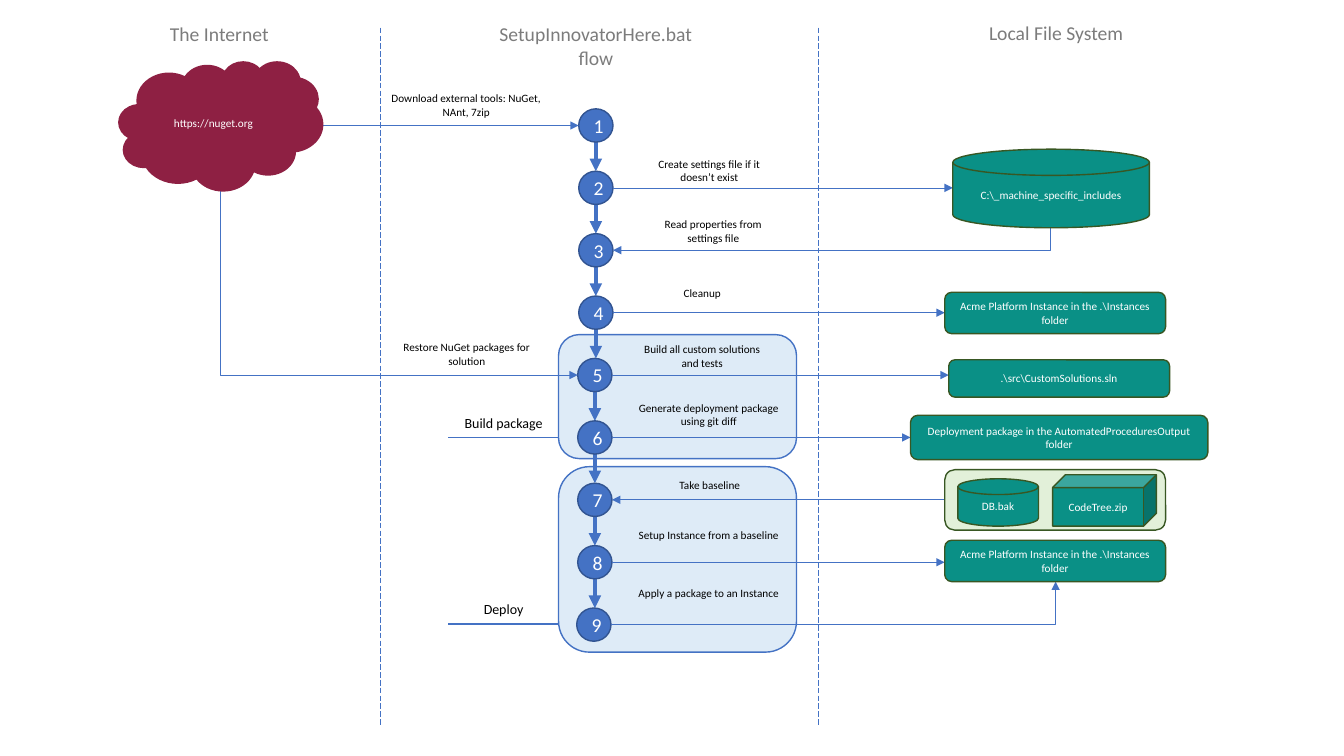
from lxml import etree
from pptx import Presentation, util as u
from pptx.dml.color import RGBColor
from pptx.enum import dml, shapes, text
from pptx.oxml.ns import qn

COLS, ROWS = 1333, 750
CELL = u.Inches(0.01)
BLUE, TEAL, MOSS, WINE = "4472C4", "0A9086", "385723", "8E2043"
WHITE, BLACK, GREY = "FFFFFF", "000000", "7C7C7C"
SHAPE, LINK = shapes.MSO_SHAPE, shapes.MSO_CONNECTOR

deck = Presentation()
deck.slide_width, deck.slide_height = COLS * CELL, ROWS * CELL
slide = deck.slides.add_slide(deck.slide_layouts[6])
page = slide.shapes


def box(area, words="", kind=None, fill=None, edge=None, size=8, ink=WHITE, home=page):
    """Place a preset shape, or a text box if no kind is given; area is in grid cells."""
    spot = [round(n * CELL) for n in area]
    if kind is None:
        item = home.add_textbox(*spot)
        item.text_frame.auto_size = text.MSO_AUTO_SIZE.SHAPE_TO_FIT_TEXT
    else:
        item = home.add_shape(kind, *spot)
        item.shadow.inherit = False
        item.fill.solid()
        item.fill.fore_color.rgb = RGBColor.from_string(fill)
        item.line.color.rgb = RGBColor.from_string(edge)
        item.line.width = u.Pt(1)
    item.text_frame.word_wrap = True
    if words:
        para = item.text_frame.paragraphs[0]
        para.alignment = text.PP_ALIGN.CENTER
        run = para.add_run()
        run.text = words
        for key, value in {"name": "Calibri", "size": u.Pt(size)}.items():
            setattr(run.font, key, value)
        run.font.color.rgb = RGBColor.from_string(ink)


def link(ends, width=0.5, tip=None, bent=False, dash=None):
    """Join two points in grid cells; a bent link leaves its first point sideways."""
    kind = LINK.ELBOW if bent else LINK.STRAIGHT
    item = page.add_connector(kind, *[round(n * CELL) for n in ends])
    item.line.color.rgb = RGBColor.from_string(BLUE)
    item.line.width = u.Pt(width)
    if dash:
        item.line.dash_style = dash
    props = item._element.spPr
    if bent:
        props.find(qn("a:prstGeom")).set("prst", "bentConnector2")
    if tip:
        etree.SubElement(item.line._get_or_add_ln(), qn("a:" + tip)).set("type", "triangle")
    etree.SubElement(props, qn("a:effectLst"))


# Stage bands and column dividers
for top, high in ((463, 184), (332, 123)):
    box((554, top, 236, high), kind=SHAPE.ROUNDED_RECTANGLE, fill="DEEBF7", edge=BLUE)
for x in (377, 812):
    link((x, 27.5, x, 719), dash=dml.MSO_LINE.LONG_DASH)

# Column titles
for area, words in (
    ((155, 17, 125, 34), "The Internet"),
    ((470, 17, 242, 57), "SetupInnovatorHere.bat flow"),
    ((964, 16, 167, 34), "Local File System"),
):
    box(area, words, size=14, ink=GREY)

# Numbered steps, evenly spaced down the middle column
PITCH, DISC, TALL = 61.9, 34, 33
lefts = [574 - i // 4 for i in range(9)]
tops = [108 + PITCH * i for i in range(9)]
mids = [top + TALL / 2 for top in tops]
for i, (left, top) in enumerate(zip(lefts, tops)):
    if i < 8:
        x = left + DISC / 2
        link((x, top + TALL, x, tops[i + 1]), width=3, tip="tailEnd")
    box((left, top, DISC, TALL), str(i + 1), SHAPE.FLOWCHART_CONNECTOR,
        BLUE, "325491", size=14)

# Arrows between the steps and the outer columns
link((319, mids[0], lefts[0], mids[0]), tip="tailEnd")
for step, x in ((2, 945), (4, 937), (5, 941), (6, 903), (8, 937)):
    y = mids[step - 1]
    link((lefts[step - 1] + DISC, y, x, y), tip="tailEnd")
link((937, mids[6], lefts[6] + DISC, mids[6]), tip="tailEnd")
link((lefts[2] + DISC, mids[2], 1042, 226), tip="headEnd", bent=True)
link((lefts[4], mids[4], 219, 189), tip="headEnd", bent=True)
link((lefts[8] + DISC, mids[8], 1047, 577), tip="tailEnd", bent=True)

# Sources and files
box((118, 61, 202, 128), "https://nuget.org", SHAPE.CLOUD, WINE, WINE)
box((945, 148, 195, 78), r"C:\_machine_specific_includes",
    SHAPE.FLOWCHART_MAGNETIC_DISK, TEAL, MOSS)
instance = r"Acme Platform Instance in the .\Instances folder"
for area, words in (
    ((937, 290, 219, 41), instance),
    ((941, 357, 219, 37), r".\src\CustomSolutions.sln"),
    ((903, 412, 295, 44), "Deployment package in the AutomatedProceduresOutput folder"),
    ((937, 536, 219, 41), instance),
):
    box(area, words, SHAPE.ROUNDED_RECTANGLE, TEAL, MOSS)

# Baseline group
base = page.add_group_shape().shapes
for area, words, kind, fill in (
    ((937, 466, 219, 60), "", SHAPE.ROUNDED_RECTANGLE, "E2F0D9"),
    ((950, 475, 80, 47), "DB.bak", SHAPE.FLOWCHART_MAGNETIC_DISK, TEAL),
    ((1044, 471, 103, 51), "CodeTree.zip", SHAPE.CUBE, TEAL),
):
    box(area, words, kind, fill, MOSS, home=base)

# Arrow labels
for area, words in (
    ((371, 86, 183, 37), "Download external tools: NuGet, NAnt, 7zip"),
    ((638, 151, 131, 37), "Create settings file if it doesn’t exist"),
    ((641, 211, 133, 37), "Read properties from settings file"),
    ((654, 279, 85, 24), "Cleanup"),
    ((385, 333, 156, 37), "Restore NuGet packages for solution"),
    ((622, 335, 149, 37), "Build all custom solutions and tests"),
    ((615, 393, 176, 37), "Generate deployment package using git diff"),
    ((616, 470, 176, 24), "Take baseline"),
    ((615, 519, 176, 24), "Setup Instance from a baseline"),
    ((615, 577, 176, 24), "Apply a package to an Instance"),
):
    box(area, words, ink=BLACK)

# Stage names
for y, words in ((434, "Build package"), (619, "Deploy")):
    link((554, y, 444, y), width=1)
    box((448, y - 28, 103, 27), words, size=10, ink=BLACK)

deck.save("out.pptx")
